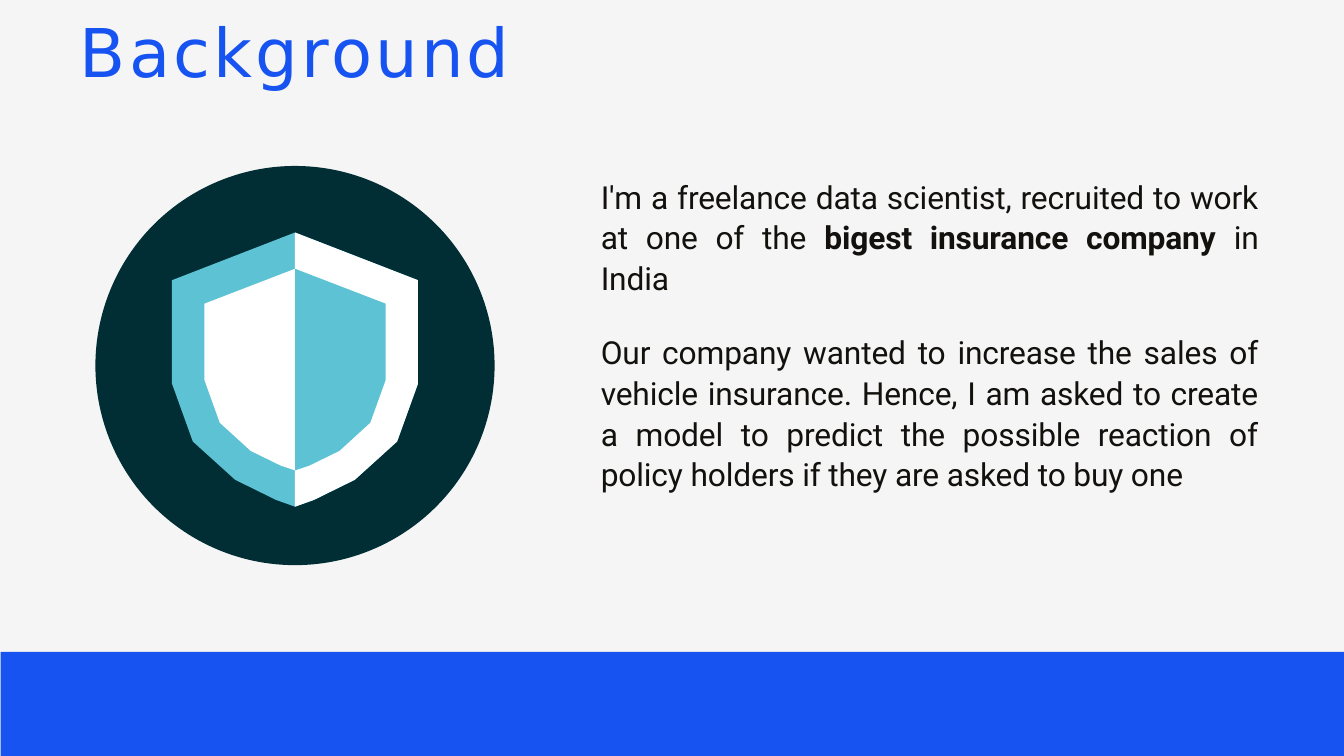
"""Build the Background slide: a shield emblem beside the project introduction."""
import pptx
import pptx.dml.color
import pptx.enum.shapes
import pptx.enum.text
import pptx.util

PX = 9144
BLUE = pptx.dml.color.RGBColor(0x17, 0x53, 0xF1)
PALE = pptx.dml.color.RGBColor(0xF5, 0xF5, 0xF5)
NAVY = pptx.dml.color.RGBColor(0x00, 0x2E, 0x34)
AQUA = pptx.dml.color.RGBColor(0x5D, 0xC2, 0xD4)
WHITE = pptx.dml.color.RGBColor(0xFF, 0xFF, 0xFF)
INK = pptx.dml.color.RGBColor(0x13, 0x11, 0x0E)


def paint(shape, color):
    shape.shadow.inherit = False
    shape.fill.solid()
    shape.fill.fore_color.rgb = color
    shape.line.fill.background()


def write(box, paragraphs, paragraph_format, font_format, tracking):
    frame = box.text_frame
    frame.word_wrap = True
    frame.margin_left = frame.margin_right = frame.margin_bottom = 0
    frame.margin_top = PX
    for index, (space_before, runs) in enumerate(paragraphs):
        paragraph = frame.add_paragraph() if index else frame.paragraphs[0]
        paragraph.space_before = pptx.util.Pt(space_before)
        for name, value in paragraph_format.items():
            setattr(paragraph, name, value)
        for words, bold in runs:
            run = paragraph.add_run()
            run.text = words
            run.font.bold = bold
            run.font.color.rgb = font_format["color"]
            for name in ("name", "size"):
                setattr(run.font, name, font_format[name])
            run.font._element.set("spc", str(tracking))


deck = pptx.Presentation()
deck.slide_width, deck.slide_height = 2000 * PX, 1125 * PX
slide = deck.slides.add_slide(deck.slide_layouts[6])

SHAPE = pptx.enum.shapes.MSO_SHAPE
for preset, bounds, color in (
    (SHAPE.RECTANGLE, (0, 0, 2000, 1125), PALE),
    (SHAPE.RECTANGLE, (1, 970, 1999, 155), BLUE),
    (SHAPE.OVAL, (142, 247, 594, 594), NAVY),
):
    paint(slide.shapes.add_shape(preset, *(length * PX for length in bounds)), color)

axis = 439
outer_right = [(439, 346), (622, 417), (622, 571), (591, 657), (528, 714), (467, 744), (439, 754)]
inner_right = [(439, 400), (574, 452), (574, 565), (551, 629), (505, 671), (460, 693), (439, 700)]
outer_left, inner_left = (
    [(2 * axis - x, y) for x, y in half] for half in (outer_right, inner_right)
)
for outline, color in (
    (outer_right + outer_left[-2:0:-1], AQUA),
    (outer_right + inner_left[::-1], WHITE),
    (inner_right, AQUA),
):
    builder = slide.shapes.build_freeform(*outline[0], scale=PX)
    builder.add_line_segments(outline[1:], close=True)
    paint(builder.convert_to_shape(), color)

introduction = [
    (1, [("I'm a freelance data scientist, recruited to work at one of the ", False),
         ("bigest insurance company ", True),
         ("in India", False)]),
    (36, [("Our company wanted to increase the sales of vehicle insurance. Hence, I am asked "
           "to create a model to predict the possible reaction of policy holders if they are "
           "asked to buy one", False)]),
]
write(
    slide.shapes.add_textbox(894 * PX, 259 * PX, 979 * PX, 476 * PX),
    introduction,
    {"alignment": pptx.enum.text.PP_ALIGN.JUSTIFY, "line_spacing": 1.07},
    {"name": "Roboto", "size": pptx.util.Pt(34), "color": INK},
    -15,
)
write(
    slide.shapes.add_textbox(119 * PX, 14 * PX, 644 * PX, 123 * PX),
    [(1, [("Background", False)])],
    {"alignment": pptx.enum.text.PP_ALIGN.LEFT},
    {"name": "DejaVu Sans", "size": pptx.util.Pt(72), "color": BLUE},
    350,
)

deck.save("out.pptx")
